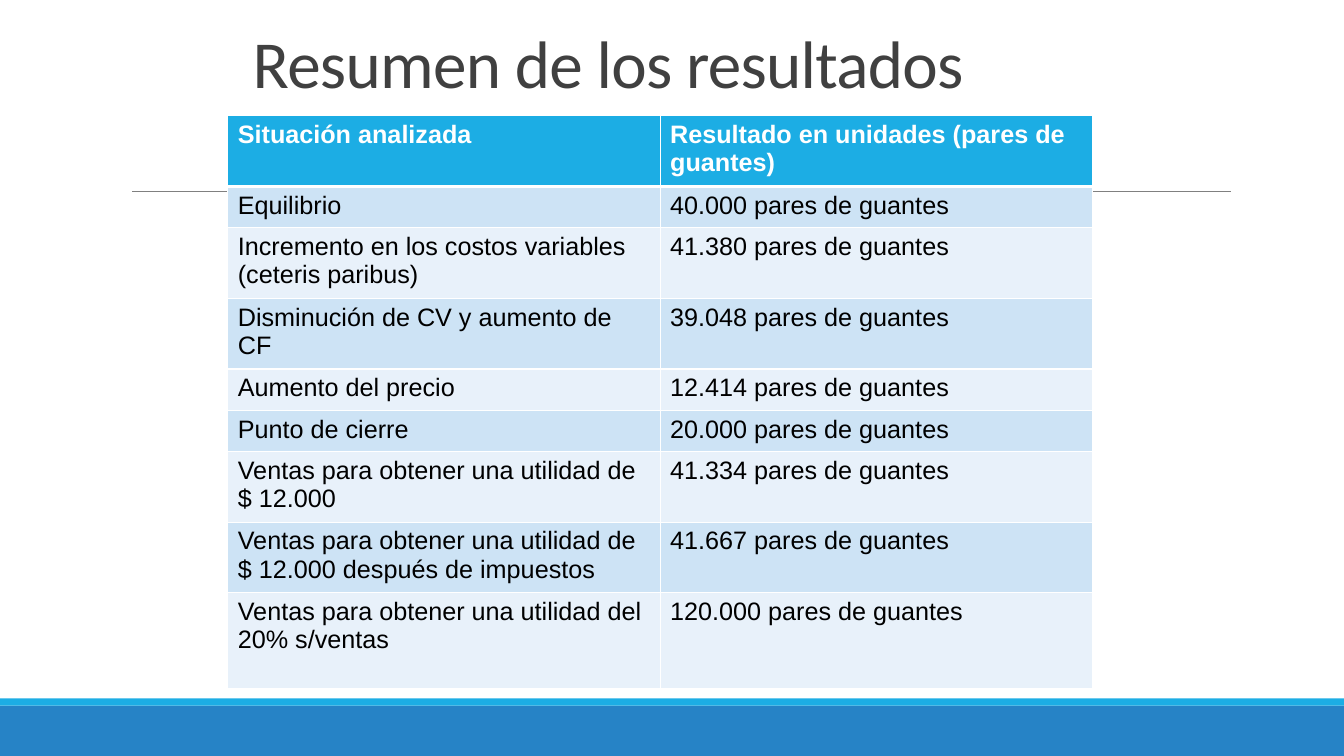
import pptx
import pptx.util
import pptx.dml.color
import pptx.enum.shapes
import pptx.enum.text
import pptx.oxml
import pptx.oxml.ns

Cm = pptx.util.Cm
Pt = pptx.util.Pt
RGBColor = pptx.dml.color.RGBColor

WHITE = RGBColor(0xFF, 0xFF, 0xFF)
BLACK = RGBColor(0x00, 0x00, 0x00)
DARK = RGBColor(0x40, 0x40, 0x40)
GREY = RGBColor(0x80, 0x80, 0x80)
CYAN = RGBColor(0x1C, 0xAD, 0xE4)
BLUE = RGBColor(0x26, 0x83, 0xC6)
BANDS = [RGBColor(0xCD, 0xE3, 0xF5), RGBColor(0xE8, 0xF1, 0xFA)]

SINGLE, DOUBLE, LAST = 1.04, 1.69, 2.41
HEADER = ("Situación analizada", "Resultado en unidades (pares de guantes)")
RESULTS = [
    ("Equilibrio", "40.000", SINGLE),
    ("Incremento en los costos variables (ceteris paribus)", "41.380", DOUBLE),
    ("Disminución de CV y aumento de CF", "39.048", DOUBLE),
    ("Aumento del precio", "12.414", SINGLE),
    ("Punto de cierre", "20.000", SINGLE),
    ("Ventas para obtener una utilidad de $ 12.000", "41.334", DOUBLE),
    ("Ventas para obtener una utilidad de $ 12.000 después de impuestos", "41.667", DOUBLE),
    ("Ventas para obtener una utilidad del 20% s/ventas", "120.000", LAST),
]


class Deck:
    title_font = "Calibri"
    table_font = "Arial"

    def __init__(self, prs):
        self.s = prs.slides.add_slide(prs.slide_layouts[6])

    def bar(self, x, y, w, h, color):
        sp = self.s.shapes.add_shape(
            pptx.enum.shapes.MSO_SHAPE.RECTANGLE, Cm(x), Cm(y), Cm(w), Cm(h))
        sp.shadow.inherit = False
        sp.fill.solid()
        sp.fill.fore_color.rgb = color
        sp.line.fill.background()

    def rule(self, x1, x2, y):
        line = self.s.shapes.add_connector(
            pptx.enum.shapes.MSO_CONNECTOR.STRAIGHT, Cm(x1), Cm(y), Cm(x2), Cm(y))
        line.line.color.rgb = GREY
        line.line.width = Pt(0.5)
        line._element.spPr.append(pptx.oxml.parse_xml(
            f'<a:effectLst {pptx.oxml.ns.nsdecls("a")}/>'))

    def add_text(self, p, text, font, size, color, bold=False):
        r = p.add_run()
        r.text = text
        p.font.name = font
        p.font.size = Pt(size)
        p.font.color.rgb = color
        p.font.bold = bold
        return r

    def title(self, text, x, y, w, h):
        tf = self.s.shapes.add_textbox(Cm(x), Cm(y), Cm(w), Cm(h)).text_frame
        tf.word_wrap = True
        tf.vertical_anchor = pptx.enum.text.MSO_ANCHOR.BOTTOM
        p = tf.paragraphs[0]
        p.line_spacing = 0.85
        r = self.add_text(p, text, self.title_font, 48, DARK)
        r._r.get_or_add_rPr().set("spc", "-50")

    def borders(self, cell, bottom):
        widths = {"lnL": 1, "lnR": 1, "lnT": 1, "lnB": bottom}
        tcPr = cell._tc.get_or_add_tcPr()
        for i, (side, width) in enumerate(widths.items()):
            tcPr.insert(i, pptx.oxml.parse_xml(
                f'<a:{side} {pptx.oxml.ns.nsdecls("a")} w="{Pt(width)}">'
                f'<a:solidFill><a:srgbClr val="{WHITE}"/></a:solidFill></a:{side}>'))

    def table(self, rows, heights, x, y, w):
        table = self.s.shapes.add_table(
            len(rows), len(rows[0]), Cm(x), Cm(y), Cm(w), Cm(sum(heights))).table
        for i, (texts, height) in enumerate(zip(rows, heights)):
            table.rows[i].height = Cm(height)
            head = i == 0
            for j, text in enumerate(texts):
                cell = table.cell(i, j)
                cell.fill.solid()
                cell.fill.fore_color.rgb = CYAN if head else BANDS[(i - 1) % 2]
                self.borders(cell, 3 if head else 1)
                self.add_text(cell.text_frame.paragraphs[0], text, self.table_font, 18,
                              WHITE if head else BLACK, head)


prs = pptx.Presentation()
prs.slide_width = Cm(33.87)
prs.slide_height = Cm(19.05)

deck = Deck(prs)
deck.bar(0, 17.78, 33.87, 1.27, BLUE)
deck.bar(0, 17.6, 33.87, 0.18, CYAN)
deck.rule(3.33, 31.01, 4.83)
deck.title("Resumen de los resultados", 6.12, -0.48, 22.86, 3.18)
rows = [HEADER] + [(case, f"{units} pares de guantes") for case, units, _ in RESULTS]
heights = [DOUBLE] + [height for _, _, height in RESULTS]
deck.table(rows, heights, 5.74, 2.92, 21.79)

prs.save("out.pptx")
